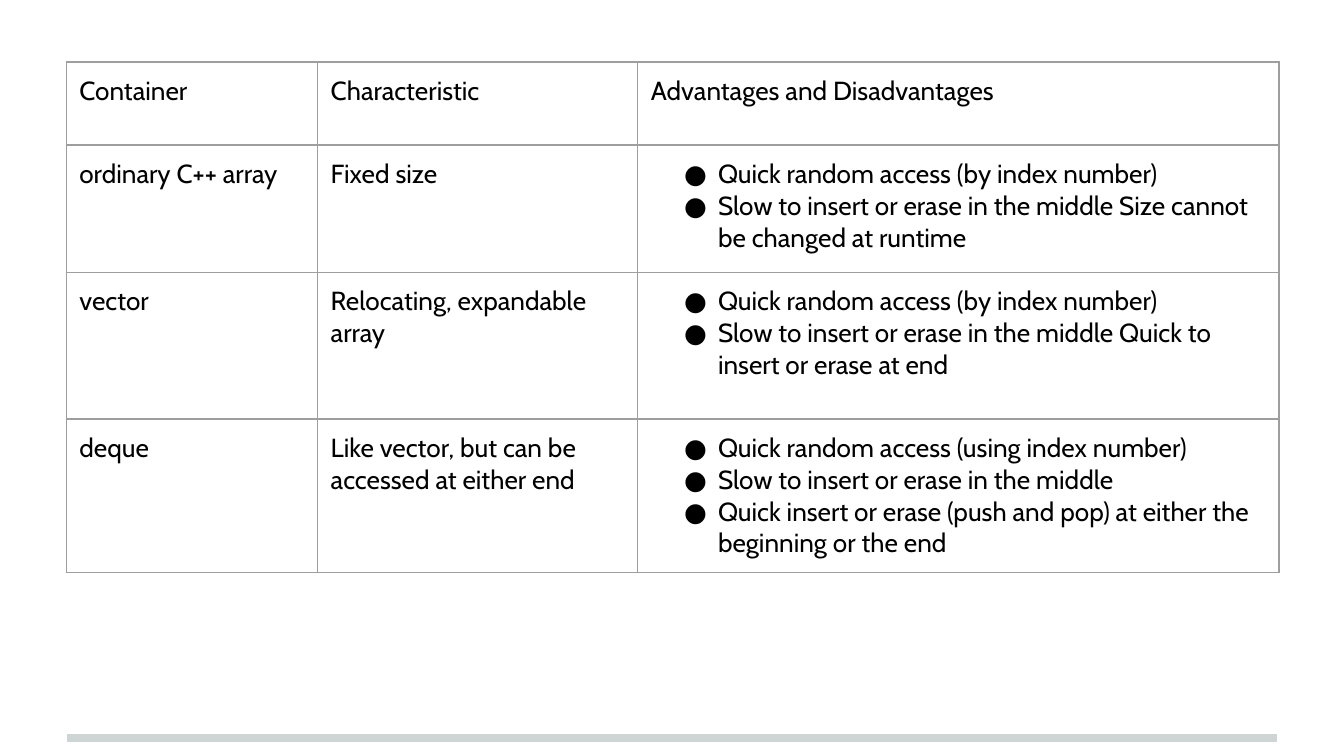
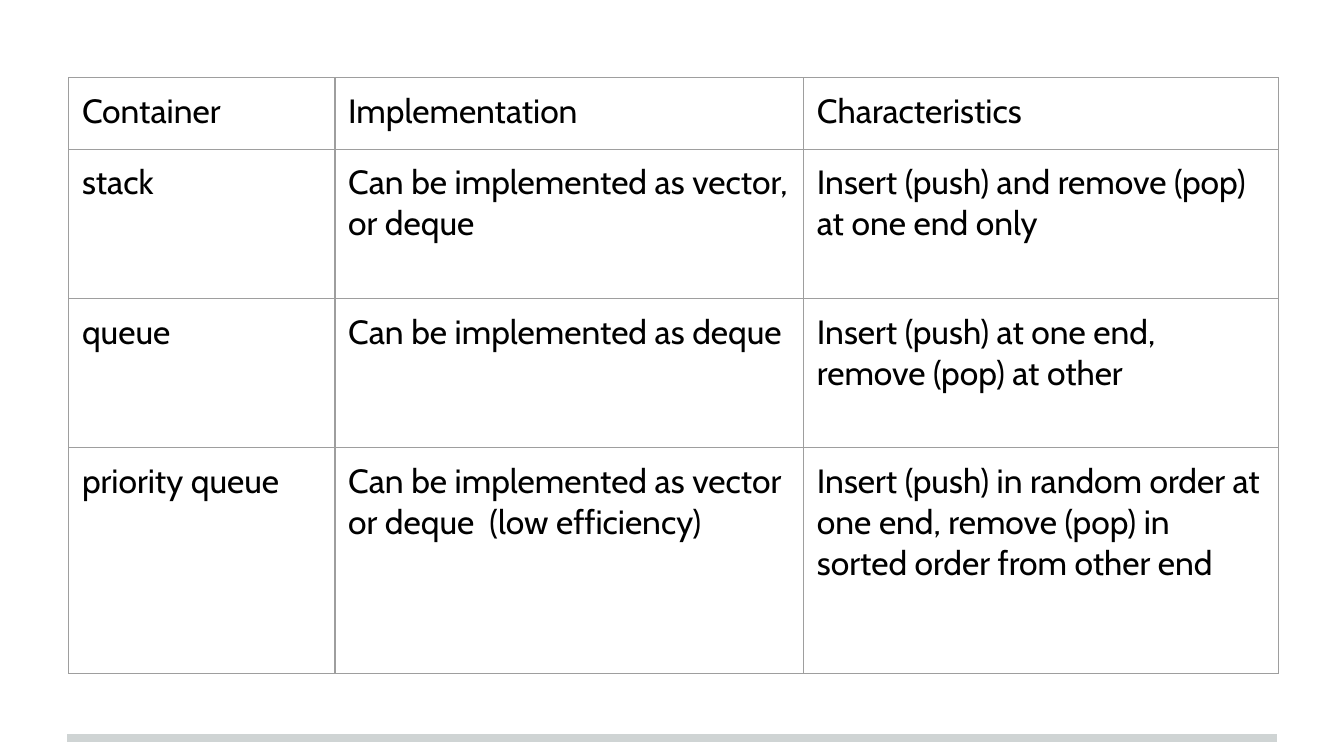
from lxml.etree import SubElement as Sub
from pptx import Presentation as Deck
from pptx.dml.color import RGBColor as Rgb
from pptx.enum.shapes import MSO_CONNECTOR as Link
from pptx.oxml.ns import qn
from pptx.util import Cm, Pt

HUES = {"text": "000000", "grid": "9E9E9E", "band": "CFD4D4"}
FONT = "Cabin"
PAD = Cm(0.25)

TABLES = [
    {
        "left": 1.25, "top": 1.17, "size": 14,
        "cols": [4.75, 6.05, 12.12],
        "rows": [1.57, 2.41, 2.77, 1.55],
        "cells": [
            ["Container", "Characteristic", "Advantages and Disadvantages"],
            ["ordinary C++ array", "Fixed size", [
                "Quick random access (by index number)",
                "Slow to insert or erase in the middle Size cannot be changed at runtime"]],
            ["vector", "Relocating, expandable array", [
                "Quick random access (by index number)",
                "Slow to insert or erase in the middle Quick to insert or erase at end"]],
            ["deque", "Like vector, but can be accessed at either end", [
                "Quick random access (using index number)",
                "Slow to insert or erase in the middle",
                "Quick insert or erase (push and pop) at either the beginning or the end"]],
        ],
    },
    {
        "left": 1.3, "top": 1.47, "size": 18,
        "cols": [5.03, 8.86, 8.97],
        "rows": [1.35, 2.82, 2.82, 4.27],
        "cells": [
            ["Container", "Implementation", "Characteristics"],
            ["stack", "Can be implemented as vector, or deque",
             "Insert (push) and remove (pop) at one end only"],
            ["queue", "Can be implemented as deque",
             "Insert (push) at one end, remove (pop) at other"],
            ["priority queue", "Can be implemented as vector or deque  (low efficiency)",
             "Insert (push) in random order at one end, remove (pop) in sorted order from other end"],
        ],
    },
]


def add_rules(cell):
    props = cell._tc.get_or_add_tcPr()
    for spot, side in enumerate(("lnL", "lnR", "lnT", "lnB")):
        rule = Sub(props, qn("a:" + side), w=str(Pt(0.75)))
        fill = Sub(rule, qn("a:solidFill"))
        Sub(fill, qn("a:srgbClr"), val=HUES["grid"])
        props.insert(spot, rule)


def add_dot(para):
    props = para._p.get_or_add_pPr()
    props.set("marL", str(Cm(1.27)))
    props.set("indent", str(-Cm(0.64)))
    tint = Sub(props, qn("a:buClr"))
    Sub(tint, qn("a:srgbClr"), val=HUES["text"])
    Sub(props, qn("a:buFont"), typeface=FONT)
    Sub(props, qn("a:buChar"), char="●")


deck = Deck()
deck.slide_width, deck.slide_height = Cm(25.4), Cm(14.29)

for spec in TABLES:
    slide = deck.slides.add_slide(deck.slide_layouts[6])

    band = slide.shapes.add_connector(
        Link.STRAIGHT, Cm(1.27), Cm(13.95), Cm(24.13), Cm(13.95))
    band.line.color.rgb = Rgb.from_string(HUES["band"])
    band.line.width = Pt(4)
    Sub(band._element.spPr, qn("a:effectLst"))

    cols, rows = spec["cols"], spec["rows"]
    grid = slide.shapes.add_table(
        len(rows), len(cols), Cm(spec["left"]), Cm(spec["top"]),
        Cm(sum(cols)), Cm(sum(rows))).table
    grid.first_row = grid.horz_banding = False
    for col, width in zip(grid.columns, cols):
        col.width = Cm(width)

    for row, height, items in zip(grid.rows, rows, spec["cells"]):
        row.height = Cm(height)
        for cell, item in zip(row.cells, items):
            cell.margin_left = cell.margin_right = PAD
            cell.margin_top = cell.margin_bottom = PAD
            cell.fill.background()
            add_rules(cell)
            dots = isinstance(item, list)
            cell.text_frame.text = "\n".join(item) if dots else item
            for para in cell.text_frame.paragraphs:
                if dots:
                    add_dot(para)
                for run in para.runs:
                    run.font.name = FONT
                    run.font.size = Pt(spec["size"])
                    run.font.color.rgb = Rgb.from_string(HUES["text"])

deck.save("out.pptx")
